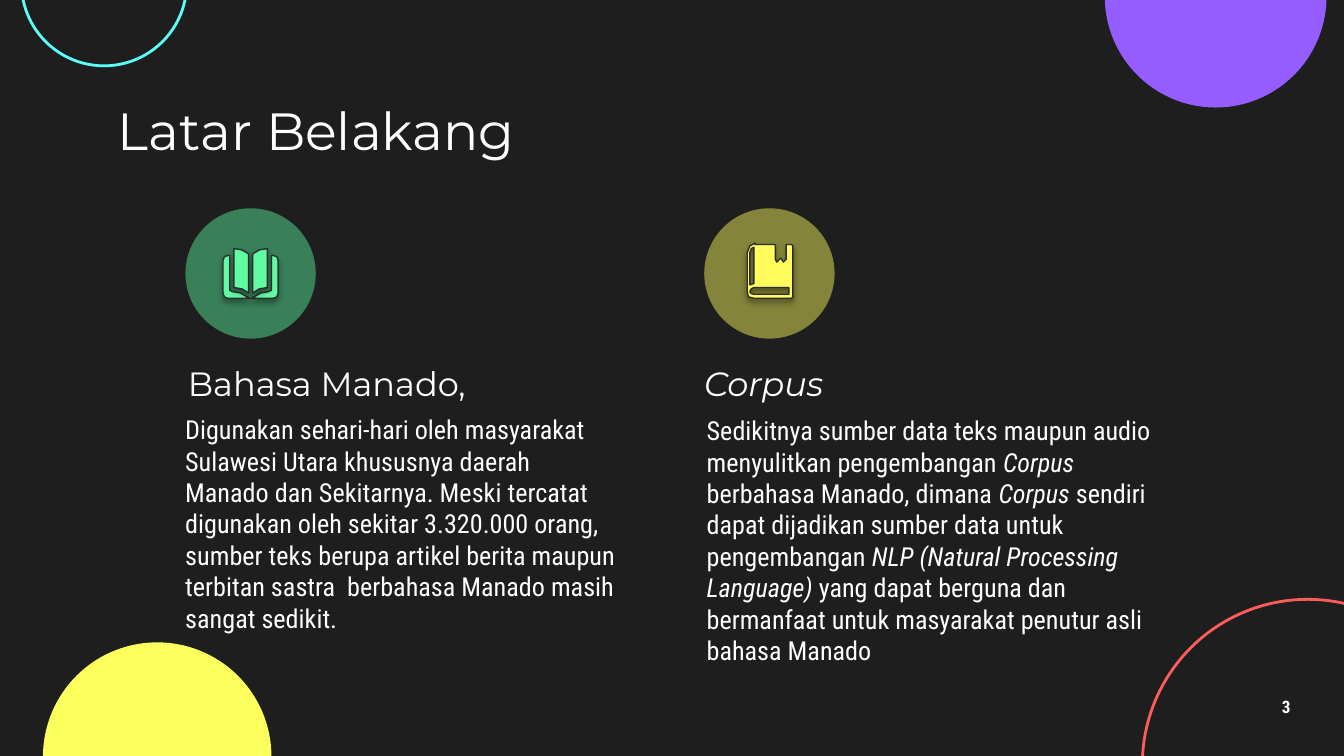
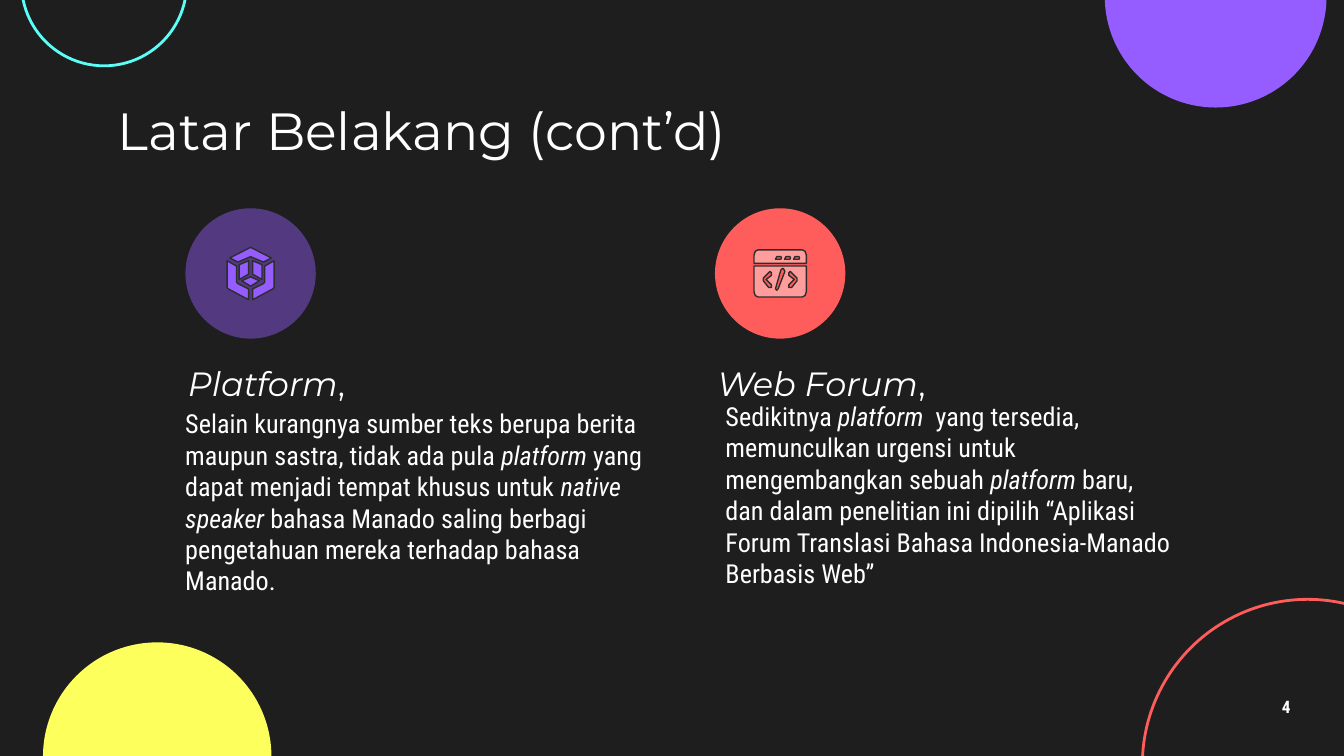
import lxml.etree
import pptx
import pptx.dml.color
import pptx.enum.shapes
import pptx.enum.text
import pptx.oxml.ns
import pptx.util

WIDTH = pptx.util.Inches(10)
HEIGHT = WIDTH * 9 // 16
CELL = WIDTH / 100  # the grid has 100 columns of square cells
DISC = 9.7          # icon disc, in cells
ICON = 97           # icon points run from 0 to 97 across the disc

COLORS = {
    "back": "1E1E1E", "text": "FFFFFF", "edge": "2D2D2D", "shade": "000000",
    "purple": "955CFF", "red": "FF5C5C", "cyan": "5CFFF8", "yellow": "FDFF5C",
    "green": "5CFFA6", "violet": "955DFF",
    "mint": "60FCA4", "lemon": "FFFC5C", "pink": "FF9D9D",
}
HEAD, BODY = "Montserrat", "Roboto Condensed"


def color(name):
    return pptx.dml.color.RGBColor.from_string(COLORS[name])


def cells(*sizes):
    return [round(size * CELL) for size in sizes]


def mirror(points):
    return [(ICON - x, y) for x, y in points]


def both(*parts):
    """Each part is a list of outlines; add its mirror image."""
    return [side for part in parts
            for side in (part, [mirror(line) for line in part])]


# Each icon is a list of parts; a part is a list of outlines, holes included.
COVER = [(32, 35), (29, 36), (28, 39), (28, 63), (29, 66), (32, 67), (48, 67),
         (46, 66), (41, 63), (35, 62), (33, 61), (33, 35)]
PAGE = [(36, 30), (36, 59), (42, 60), (47, 63), (47, 34), (42, 31)]

SPINE = [(37, 29), (37, 56), (34, 57), (34, 33), (35, 30)]
FOOT = [(63, 59), (63, 64), (37, 64), (35, 63.5), (34, 62), (35, 60), (37, 59)]
BOOK = [(38, 26), (34, 28), (32, 33), (32, 62), (33, 66), (37, 67), (65, 67),
        (66, 66), (66, 28), (65, 27), (61, 27), (61, 38), (59, 40), (57, 37),
        (54, 40), (53, 38), (53, 27), (38, 27)]

FLOOR = [(48.5, 51), (42, 54), (48.5, 58), (55, 54)]
ROOF = [(48.5, 29), (33, 37), (39, 40), (48.5, 36), (58, 40), (64, 37)]
INNER = [(47, 39), (40, 42), (40, 53), (47, 49)]
OUTER = [(31, 39), (31, 59), (32, 60), (47, 68), (47, 60), (39, 56), (38, 55),
         (38, 43)]

DOTS = [[(x, 38), (x + 1, 36), (x + 4, 36), (x + 4.5, 37), (x + 4, 38)]
        for x in (45, 51.75, 58.5)]
BAR = [(32, 31), (30, 32), (29, 35), (29, 41), (68, 41), (68, 35), (67, 32),
       (65, 31)]
ANGLE = [(41, 47), (42, 48), (42, 50), (38, 53), (42, 57), (42, 59), (40, 59),
         (36, 54), (36, 52), (40, 48)]
SLASH = [(50, 45), (51, 45), (52, 47), (47, 60), (46, 61), (45, 60), (49, 46)]
PANEL = [(29, 43), (29, 62), (30, 65), (32, 66), (65, 66), (67, 65), (68, 62),
         (68, 43)]

ICONS = {
    "reader": both([COVER], [PAGE]),
    "book": [[SPINE, FOOT, BOOK]],
    "cube": [[FLOOR], [ROOF]] + both([INNER], [OUTER]),
    "window": [DOTS + [BAR], [ANGLE, mirror(ANGLE), SLASH, PANEL]],
}

SLIDES = [
    {"title": "Latar Belakang", "number": 3, "cards": [
        {"disc": (13.8, "green", 44), "icon": ("reader", "mint", True),
         "head": (13, "Bahasa Manado,"), "box": (12.8, 32.1, 34, 13.7),
         "body": "Digunakan sehari-hari oleh masyarakat Sulawesi Utara "
                 "khususnya daerah Manado dan Sekitarnya. Meski tercatat "
                 "digunakan oleh sekitar 3.320.000 orang, sumber teks berupa "
                 "artikel berita maupun terbitan sastra  berbahasa Manado "
                 "masih sangat sedikit."},
        {"disc": (52.4, "yellow", 46), "icon": ("book", "lemon", True),
         "head": (51.4, "*Corpus*"), "box": (51.6, 31, 35.6, 18.4),
         "body": "Sedikitnya sumber data teks maupun audio menyulitkan "
                 "pengembangan *Corpus *berbahasa Manado, dimana *Corpus "
                 "*sendiri dapat dijadikan sumber data untuk pengembangan "
                 "*NLP (Natural Processing Language)* yang dapat berguna dan "
                 "bermanfaat untuk masyarakat penutur asli bahasa Manado"},
    ]},
    {"title": "Latar Belakang (cont’d)", "number": 4, "cards": [
        {"disc": (13.8, "violet", 44), "icon": ("cube", "violet", False),
         "head": (13, "*Platform*,"), "box": (12.8, 30.5, 37.2, 13.7),
         "body": "Selain kurangnya sumber teks berupa berita maupun sastra, "
                 "tidak ada pula *platform* yang dapat menjadi tempat khusus "
                 "untuk *native speaker* bahasa Manado saling berbagi "
                 "pengetahuan mereka terhadap bahasa Manado."},
        {"disc": (53.2, "red", 100), "icon": ("window", "pink", False),
         "head": (52.4, "*Web Forum*,"), "box": (53, 30.5, 35.6, 12.6),
         "body": "Sedikitnya *platform * yang tersedia, memunculkan urgensi "
                 "untuk mengembangkan sebuah *platform *baru, dan dalam "
                 "penelitian ini dipilih “Aplikasi Forum Translasi Bahasa "
                 "Indonesia-Manado Berbasis Web”"},
    ]},
]


def circle(slide, left, top, size, fill=None, line=None, alpha=100):
    shape = slide.shapes.add_shape(pptx.enum.shapes.MSO_SHAPE.OVAL,
                                   *cells(left, top, size, size))
    shape.shadow.inherit = False
    if fill:
        shape.fill.solid()
        shape.fill.fore_color.rgb = color(fill)
    else:
        shape.fill.background()
    if line:
        shape.line.color.rgb = color(line)
        shape.line.width = pptx.util.Pt(1.5)
    else:
        shape.line.fill.background()
    if alpha < 100:
        tint = shape._element.spPr.find(".//" + pptx.oxml.ns.qn("a:srgbClr"))
        fade(tint, alpha)


def fade(tint, alpha):
    lxml.etree.SubElement(tint, pptx.oxml.ns.qn("a:alpha"),
                          val=str(alpha * 1000))


def shade(shape):
    """Give the shape a soft shadow straight below it."""
    name = pptx.oxml.ns.qn
    effects = shape._element.spPr.find(name("a:effectLst"))
    outer = lxml.etree.SubElement(
        effects, name("a:outerShdw"), blurRad=str(pptx.util.Pt(3.1)),
        dist=str(pptx.util.Pt(1.8)), dir="5400000", algn="bl", rotWithShape="0")
    fade(lxml.etree.SubElement(outer, name("a:srgbClr"), val=COLORS["shade"]),
         35)


def label(slide, box, text, font, size, bold=None, align=None, space=None):
    """Write text in the box; parts between asterisks are italic."""
    frame = slide.shapes.add_textbox(*cells(*box)).text_frame
    frame.word_wrap = True
    frame.vertical_anchor = pptx.enum.text.MSO_ANCHOR.MIDDLE
    frame.margin_left = frame.margin_right = round(CELL)
    frame.margin_top = frame.margin_bottom = round(CELL)
    line = frame.paragraphs[0]
    line.alignment = align
    line.line_spacing = space
    for place, part in enumerate(text.split("*")):
        if part:
            run = line.add_run()
            run.text = part
            run.font.name = font
            run.font.size = pptx.util.Pt(size)
            run.font.color.rgb = color("text")
            run.font.bold = bold
            run.font.italic = place % 2 == 1


def icon(slide, left, top, name, fill, shadow):
    group = slide.shapes.add_group_shape()
    unit = DISC / ICON
    for part in ICONS[name]:
        lines = [[cells(left + x * unit, top + y * unit) for x, y in line]
                 for line in part]
        pen = group.shapes.build_freeform(*lines[0][0])
        for place, line in enumerate(lines):
            if place:
                pen.move_to(*line[0])
            pen.add_line_segments(line[1:], close=True)
        shape = pen.convert_to_shape()
        shape.shadow.inherit = False
        shape.fill.solid()
        shape.fill.fore_color.rgb = color(fill)
        shape.line.color.rgb = color("edge")
        shape.line.width = pptx.util.Pt(0.75)
        if shadow:
            shade(shape)


def card(slide, data):
    """One topic: icon on a disc, heading and body text."""
    top = 15.5
    left, fill, alpha = data["disc"]
    circle(slide, left, top, DISC, fill=fill, alpha=alpha)
    icon(slide, left, top, *data["icon"])
    start, head = data["head"]
    label(slide, (start, top + 10.5, 32.4, 5), head, HEAD, 18)
    label(slide, data["box"], data["body"], BODY, 14)


def decor(slide):
    slide.background.fill.solid()
    slide.background.fill.fore_color.rgb = color("back")
    circle(slide, 82.2, -8.5, 16.5, fill="purple")
    circle(slide, 85, 44.6, 24.6, line="red")
    circle(slide, 1.6, -7.4, 12.3, line="cyan")
    circle(slide, 3.2, 47.8, 17, fill="yellow")


def topics(deck, data):
    slide = deck.slides.add_slide(deck.slide_layouts[6])
    decor(slide)
    label(slide, (7.8, 7.1, 84.4, 5.1), data["title"], HEAD, 28)
    for item in data["cards"]:
        card(slide, item)
    label(slide, (92.7, 51, 6, 3.4), str(data["number"]), BODY, 9.2, bold=True,
          align=pptx.enum.text.PP_ALIGN.CENTER, space=0.9)


def main():
    deck = pptx.Presentation()
    deck.slide_width, deck.slide_height = WIDTH, HEIGHT
    for data in SLIDES:
        topics(deck, data)
    deck.save("out.pptx")


if __name__ == "__main__":
    main()
